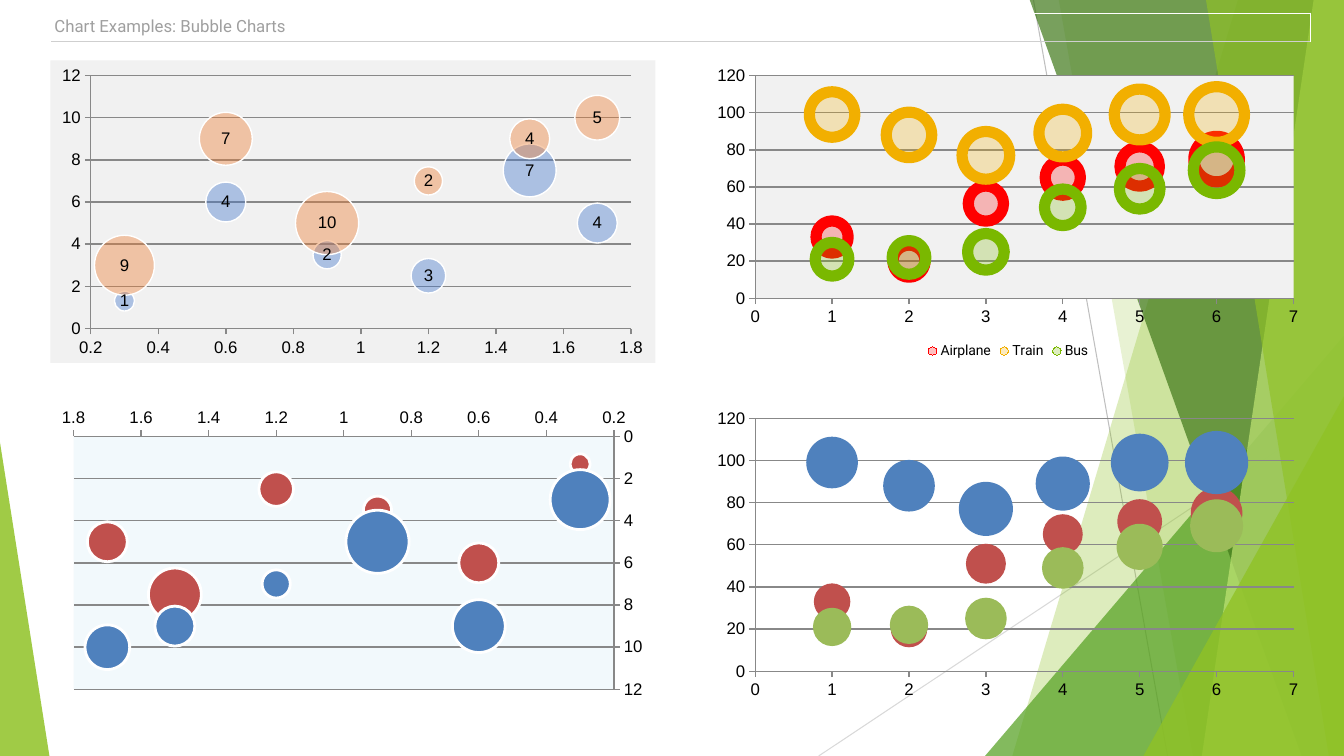
"""Build a slide with four bubble charts over a faceted green backdrop."""
from lxml import etree
from pptx import Presentation
from pptx import util as u
from pptx.chart.data import BubbleChartData
from pptx.dml.color import RGBColor
from pptx.enum import chart as ch, shapes
from pptx.oxml import parse_xml
from pptx.oxml.ns import nsdecls, qn

WHITE = RGBColor(0xFF, 0xFF, 0xFF)
BLACK = RGBColor(0, 0, 0)
TITLE_GRAY = RGBColor(0x9F, 0x9F, 0x9F)
AXIS_GRAY = RGBColor(0x88, 0x88, 0x88)
PANEL_GRAY = RGBColor(0xF1, 0xF1, 0xF1)
RULE_GRAY = RGBColor(0xCF, 0xCF, 0xCF)
LINE_GRAY = RGBColor(0xBF, 0xBF, 0xBF)
PALE_GRAY = RGBColor(0xD9, 0xD9, 0xD9)
PALE_BLUE = RGBColor(0xF2, 0xF9, 0xFC)
LIME = RGBColor(0x90, 0xC2, 0x26)
LEAF = RGBColor(0x54, 0xA0, 0x21)
FOREST = RGBColor(0x3F, 0x78, 0x19)
MIST = RGBColor(0xC0, 0xE4, 0x74)
BLUE = RGBColor(0x44, 0x77, 0xCC)
ORANGE = RGBColor(0xED, 0x7D, 0x31)
RED = RGBColor(0xFF, 0, 0)
AMBER = RGBColor(0xF2, 0xAF, 0)
GREEN = RGBColor(0x7A, 0xB8, 0)
BRICK = RGBColor(0xC0, 0x50, 0x4D)
STEEL = RGBColor(0x4F, 0x81, 0xBD)
OLIVE = RGBColor(0x9B, 0xBB, 0x59)

WIDTH, HEIGHT = 13.33, 7.5
CHART_WIDTH, CHART_HEIGHT = 6, 3
RIGHT_FACETS = [(12.28, 10.04, LIME, 30), (10.5, 11.83, LIME, 20)]
FRONT_FACETS = [(10.21, 12.91, FOREST, 70), (13.03, 11.92, MIST, 70), (11.96, 13.18, LIME, 65)]

SCORE_X = [0.3, 0.6, 0.9, 1.2, 1.5, 1.7]
SCORES = [
    ([1.3, 6, 3.5, 2.5, 7.5, 5], [1, 4, 2, 3, 7, 4]),
    ([3, 9, 5, 7, 9, 10], [9, 7, 10, 2, 4, 5]),
]
TRAVEL_X = [1, 2, 3, 4, 5, 6]
TRAVEL = [
    ([33, 20, 51, 65, 71, 75], [10, 10, 12, 12, 15, 20]),
    ([99, 88, 77, 89, 99, 99], [20, 20, 22, 22, 25, 30]),
    ([21, 22, 25, 49, 59, 69], [11, 11, 13, 13, 16, 21]),
]
SCORE_AXES = [(0.2, 1.8, 0.2), (0, 12, 2)]
TRAVEL_AXES = [(0, 7, 1), (0, 120, 20)]


class BubbleSlide:
    def __init__(self, slide):
        self.shapes = slide.shapes
        self.heading_font = "Roboto"
        self.axis_font = "Arial"

    def fill(self, target, color, alpha=100):
        target.fill.solid()
        target.fill.fore_color.rgb = color
        if alpha < 100:
            for tint in target.fill._xPr.iterfind(qn("a:solidFill") + "/" + qn("a:srgbClr")):
                etree.SubElement(tint, qn("a:alpha"), val=str(alpha * 1000))

    def style(self, shape, color, alpha=100):
        self.fill(shape, color, alpha)
        shape.line.fill.background()
        shape.shadow.inherit = False

    def line(self, x1, y1, x2, y2, color):
        line = self.shapes.add_connector(
            shapes.MSO_CONNECTOR.STRAIGHT, *map(u.Inches, (x1, y1, x2, y2)))
        line.line.color.rgb = color
        line.line.width = u.Pt(0.75)
        etree.SubElement(line._element.spPr, qn("a:effectLst"))

    def facet(self, top_x, bottom_x, color, alpha):
        corners = [(u.Inches(x), u.Inches(y)) for x, y in (
            (top_x, -0.01), (WIDTH, -0.01), (WIDTH, HEIGHT), (bottom_x, HEIGHT))]
        outline = self.shapes.build_freeform(*corners[0])
        outline.add_line_segments(corners[1:])
        self.style(outline.convert_to_shape(), color, alpha)

    def triangle(self, left, top, width, apex, color, alpha):
        triangle = self.shapes.add_shape(
            shapes.MSO_SHAPE.ISOSCELES_TRIANGLE,
            *map(u.Inches, (left, top, width, HEIGHT - top)))
        triangle.adjustments[0] = apex
        self.style(triangle, color, alpha)

    def panel(self, left, top):
        panel = self.shapes.add_shape(
            shapes.MSO_SHAPE.RECTANGLE,
            *map(u.Inches, (left, top, CHART_WIDTH, CHART_HEIGHT)))
        self.style(panel, PANEL_GRAY)

    def heading(self, words):
        table = self.shapes.add_table(
            1, 1, *map(u.Inches, (0.5, 0.13, 12.5, 0.28))).table
        table.first_row = table.horz_banding = False
        cell = table.cell(0, 0)
        cell.fill.background()
        cell.margin_left = cell.margin_right = u.Inches(0.04)
        cell.margin_top = cell.margin_bottom = u.Inches(0.04)
        cell.text = words
        font = cell.text_frame.paragraphs[0].font
        font.name, font.size = self.heading_font, u.Pt(12)
        font.color.rgb = TITLE_GRAY
        border = parse_xml(
            f'<a:lnB {nsdecls("a")} w="12700"><a:solidFill>'
            f'<a:srgbClr val="{RULE_GRAY}"/></a:solidFill></a:lnB>')
        cell._tc.get_or_add_tcPr().insert(0, border)

    def text(self, font, name, size):
        font.name, font.size = name, u.Pt(size)
        font.color.rgb = BLACK

    def axis(self, axis, limits, reverse):
        axis.minimum_scale, axis.maximum_scale, axis.major_unit = limits
        axis.reverse_order = reverse
        axis.has_title = False
        axis.major_tick_mark = ch.XL_TICK_MARK.OUTSIDE
        axis.minor_tick_mark = ch.XL_TICK_MARK.NONE
        axis.tick_labels.number_format = "General"
        axis.tick_labels.number_format_is_linked = False
        self.text(axis.tick_labels.font, self.axis_font, 12)
        axis.format.line.color.rgb = AXIS_GRAY
        axis.format.line.width = u.Pt(1)

    def plot_area(self, chart, frame, plot, color):
        area = chart._chartSpace.chart.plotArea
        for layout in area.findall(qn("c:layout")):
            area.remove(layout)
        left, top, width, height = plot
        parts = dict(x=(left - frame[0]) / CHART_WIDTH, y=(top - frame[1]) / CHART_HEIGHT,
                     w=width / CHART_WIDTH, h=height / CHART_HEIGHT)
        sizes = "".join(f'<c:{key} val="{part:.4f}"/>' for key, part in parts.items())
        area.insert(0, parse_xml(
            f'<c:layout {nsdecls("c")}><c:manualLayout><c:layoutTarget val="inner"/>'
            f'<c:xMode val="edge"/><c:yMode val="edge"/>{sizes}</c:manualLayout></c:layout>'))
        paint = f'<a:solidFill><a:srgbClr val="{color}"/></a:solidFill>' if color else "<a:noFill/>"
        area.append(parse_xml(f'<c:spPr {nsdecls("c", "a")}>{paint}</c:spPr>'))

    def bubbles(self, frame, plot, xs, rows, axes, colors, names=None, alpha=100,
                outlines=None, outline_width=0, plot_color=None, reverse=False, labels=False):
        data = BubbleChartData()
        for number, (values, sizes) in enumerate(rows):
            series = data.add_series(names[number] if names else f"Series {number + 1}")
            for point in zip(xs, values, sizes):
                series.add_data_point(*point)
        chart = self.shapes.add_chart(
            ch.XL_CHART_TYPE.BUBBLE, *map(u.Inches, (*frame, CHART_WIDTH, CHART_HEIGHT)), data).chart
        chart.has_title = False
        self.text(chart.font, self.heading_font, 10)
        chart.has_legend = bool(names)
        if names:
            chart.legend.position = ch.XL_LEGEND_POSITION.BOTTOM
            chart.legend.include_in_layout = False
        for axis, limits in zip((chart.category_axis, chart.value_axis), axes):
            self.axis(axis, limits, reverse)
        chart.category_axis.has_major_gridlines = False
        chart.category_axis.tick_label_position = ch.XL_TICK_LABEL_POSITION.LOW
        chart.value_axis.has_major_gridlines = True
        grid = chart.value_axis.major_gridlines.format.line
        grid.color.rgb, grid.width = AXIS_GRAY, u.Pt(1)
        group = chart.plots[0]
        for vary in group._element.iterfind(qn("c:varyColors")):
            vary.set("val", "0")
        for number, series in enumerate(group.series):
            self.fill(series.format, colors[number], alpha)
            if outlines:
                series.format.line.color.rgb = outlines[number]
                series.format.line.width = u.Pt(outline_width)
            else:
                series.format.line.fill.background()
        if labels:
            group.has_data_labels = True
            group.data_labels.show_value = True
            group.data_labels.number_format = "#,##0"
            group.data_labels.number_format_is_linked = False
            group.data_labels.position = ch.XL_LABEL_POSITION.CENTER
            self.text(group.data_labels.font, self.axis_font, 12)
        self.plot_area(chart, frame, plot, plot_color)


def main():
    deck = Presentation()
    deck.slide_width, deck.slide_height = u.Inches(WIDTH), u.Inches(HEIGHT)
    page = BubbleSlide(deck.slides.add_slide(deck.slide_layouts[6]))
    page.line(10.25, 0, 11.58, HEIGHT, LINE_GRAY)
    page.line(WIDTH, 4.03, 8.12, HEIGHT, PALE_GRAY)
    for facet in RIGHT_FACETS:
        page.facet(*facet)
    page.triangle(9.77, 3.33, 3.56, 1, LEAF, 72)
    for facet in FRONT_FACETS:
        page.facet(*facet)
    page.triangle(11.34, 3.93, 1.99, 1, LIME, 80)
    page.triangle(0, 4.39, 0.49, 0, LIME, 85)
    page.heading("Chart Examples: Bubble Charts")
    page.panel(0.5, 0.6)
    page.bubbles((0.5, 0.6), (0.9, 0.75, 5.36, 2.51), SCORE_X, SCORES, SCORE_AXES,
                 [BLUE, ORANGE], alpha=40, outlines=[WHITE] * 2, outline_width=1, labels=True)
    modes = [RED, AMBER, GREEN]
    page.bubbles((7, 0.6), (7.49, 0.75, 5.34, 2.21), TRAVEL_X, TRAVEL, TRAVEL_AXES, modes,
                 names=["Airplane", "Train", "Bus"], alpha=25, outlines=modes,
                 outline_width=8, plot_color=PANEL_GRAY)
    page.bubbles((0.5, 4), (0.73, 4.33, 5.36, 2.51), SCORE_X, SCORES, SCORE_AXES,
                 [BRICK, STEEL], outlines=[WHITE] * 2, outline_width=2,
                 plot_color=PALE_BLUE, reverse=True)
    page.bubbles((7, 4), (7.49, 4.15, 5.34, 2.51), TRAVEL_X, TRAVEL, TRAVEL_AXES,
                 [BRICK, STEEL, OLIVE])
    deck.save("out.pptx")


if __name__ == "__main__":
    main()
